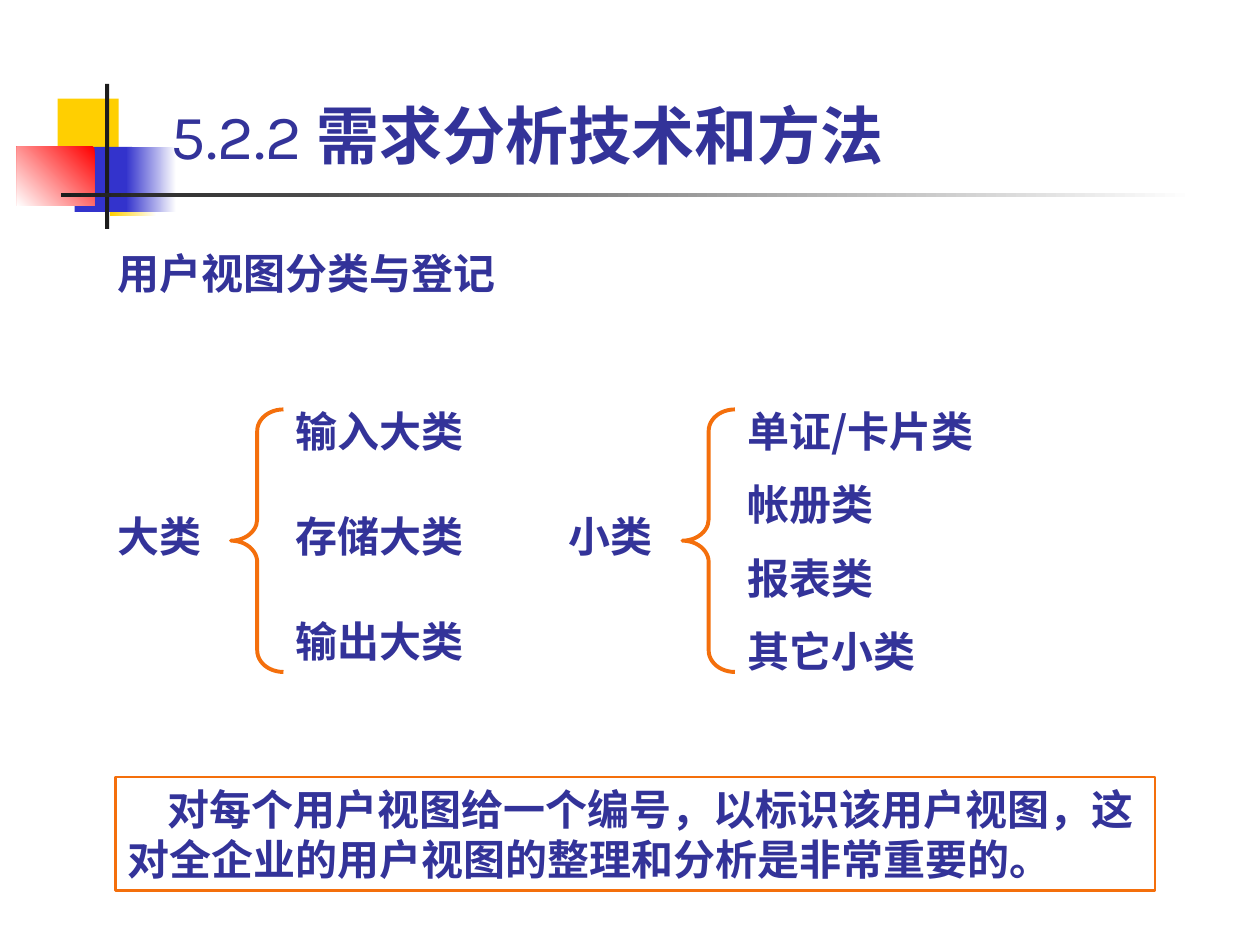
import pptx
import pptx.dml.color
import pptx.enum.shapes
import pptx.enum.text
import pptx.oxml.ns
import pptx.util
from lxml import etree

COLORS = {
    "text": "333399",
    "line": "F46F0C",
    "yellow": "FFCF01",
    "blue": "3333CC",
    "red": "FF0000",
    "dark": "1C1C1C",
    "white": "FFFFFF",
}
CJK, LATIN = "Noto Sans CJK SC", "Karla"
COLUMNS, ROWS = 120, 90
SHAPES = pptx.enum.shapes.MSO_SHAPE
ANCHOR = pptx.enum.text.MSO_ANCHOR


def rgb(name):
    return pptx.dml.color.RGBColor.from_string(COLORS[name])


class SlideBuilder:
    """Places styled elements on a grid of COLUMNS by ROWS."""

    def __init__(self, prs):
        self.slide = prs.slides.add_slide(prs.slide_layouts[6])
        self.col = prs.slide_width / COLUMNS
        self.row = prs.slide_height / ROWS

    def place(self, x, y, w, h):
        return (round(x * self.col), round(y * self.row),
                round(w * self.col), round(h * self.row))

    def shape(self, kind, box):
        sp = self.slide.shapes.add_shape(kind, *self.place(*box))
        sp.shadow.inherit = False
        sp.fill.background()
        sp.line.fill.background()
        return sp

    def outline(self, sp, width):
        sp.line.color.rgb = rgb("line")
        sp.line.width = pptx.util.Pt(width)

    def block(self, box, color):
        sp = self.shape(SHAPES.RECTANGLE, box)
        sp.fill.solid()
        sp.fill.fore_color.rgb = rgb(color)

    def fade(self, box, start, end, angle=180):
        """Gradient block; the angle runs counter-clockwise."""
        sp = self.shape(SHAPES.RECTANGLE, box)
        sp.fill.gradient()
        sp.fill.gradient_angle = angle
        for stop, color in zip(sp.fill.gradient_stops, (start, end)):
            stop.color.rgb = rgb(color)

    def brace(self, box):
        sp = self.shape(SHAPES.LEFT_BRACE, box)
        sp.adjustments[0] = 0.41
        self.outline(sp, 2.25)

    def set_text(self, sp, text, size=24, anchor=ANCHOR.TOP, prefix="", indent=0):
        tf = sp.text_frame
        tf.word_wrap = True
        tf.vertical_anchor = anchor
        p = tf.paragraphs[0]
        p.alignment = pptx.enum.text.PP_ALIGN.LEFT
        p.font.size = pptx.util.Pt(size)
        p.font.color.rgb = rgb("text")
        if indent:
            p._p.get_or_add_pPr().set("indent", str(round(indent * self.col)))
        if prefix:
            r = p.add_run()
            r.text = prefix
            r.font.name = LATIN
        r = p.add_run()
        r.text = text
        r.font.bold = True
        r.font.name = CJK
        etree.SubElement(r._r.get_or_add_rPr(), pptx.oxml.ns.qn("a:ea"), typeface=CJK)

    def text(self, box, text, **style):
        self.set_text(self.slide.shapes.add_textbox(*self.place(*box)), text, **style)

    def framed_text(self, box, text, **style):
        sp = self.shape(SHAPES.RECTANGLE, box)
        self.outline(sp, 1.5)
        self.set_text(sp, text, **style)

    def category(self, x, name, items, step):
        """Name, brace and evenly spaced items, starting at column x."""
        self.brace((x + 12, 39, 5, 25))
        self.text((x, 48, 12, 6), name)
        for i, item in enumerate(items):
            self.text((x + 17, 38 + i * step, 29, 6), item)


def main():
    prs = pptx.Presentation()
    prs.slide_width = pptx.util.Inches(10)
    prs.slide_height = pptx.util.Inches(7.5)
    s = SlideBuilder(prs)

    s.block((5.5, 9.4, 5.8, 6.2), "yellow")
    s.fade((10.5, 14.4, 4.4, 6.2), "white", "yellow")
    s.block((7.1, 14, 5.5, 6.2), "blue")
    s.fade((12, 14, 4.8, 6.2), "white", "blue")
    s.fade((1.6, 14, 7.4, 5.6), "red", "white", angle=225)
    s.block((10, 8, 0.4, 13.8), "dark")
    s.fade((5.8, 18.4, 108, 0.4), "white", "dark")

    s.text((15.1, 2, 102.2, 15), "需求分析技术和方法", size=36,
           anchor=ANCHOR.BOTTOM, prefix="5.2.2 ")
    s.text((10, 23, 40, 6), "用户视图分类与登记")
    s.category(10, "大类", ("输入大类", "存储大类", "输出大类"), step=10)
    s.category(53, "小类", ("单证/卡片类", "帐册类", "报表类", "其它小类"), step=7)
    s.framed_text((11, 74, 99, 10.8),
                  "对每个用户视图给一个编号，以标识该用户视图，"
                  "这对全企业的用户视图的整理和分析是非常重要的。", indent=3.75)

    prs.save("out.pptx")


if __name__ == "__main__":
    main()
